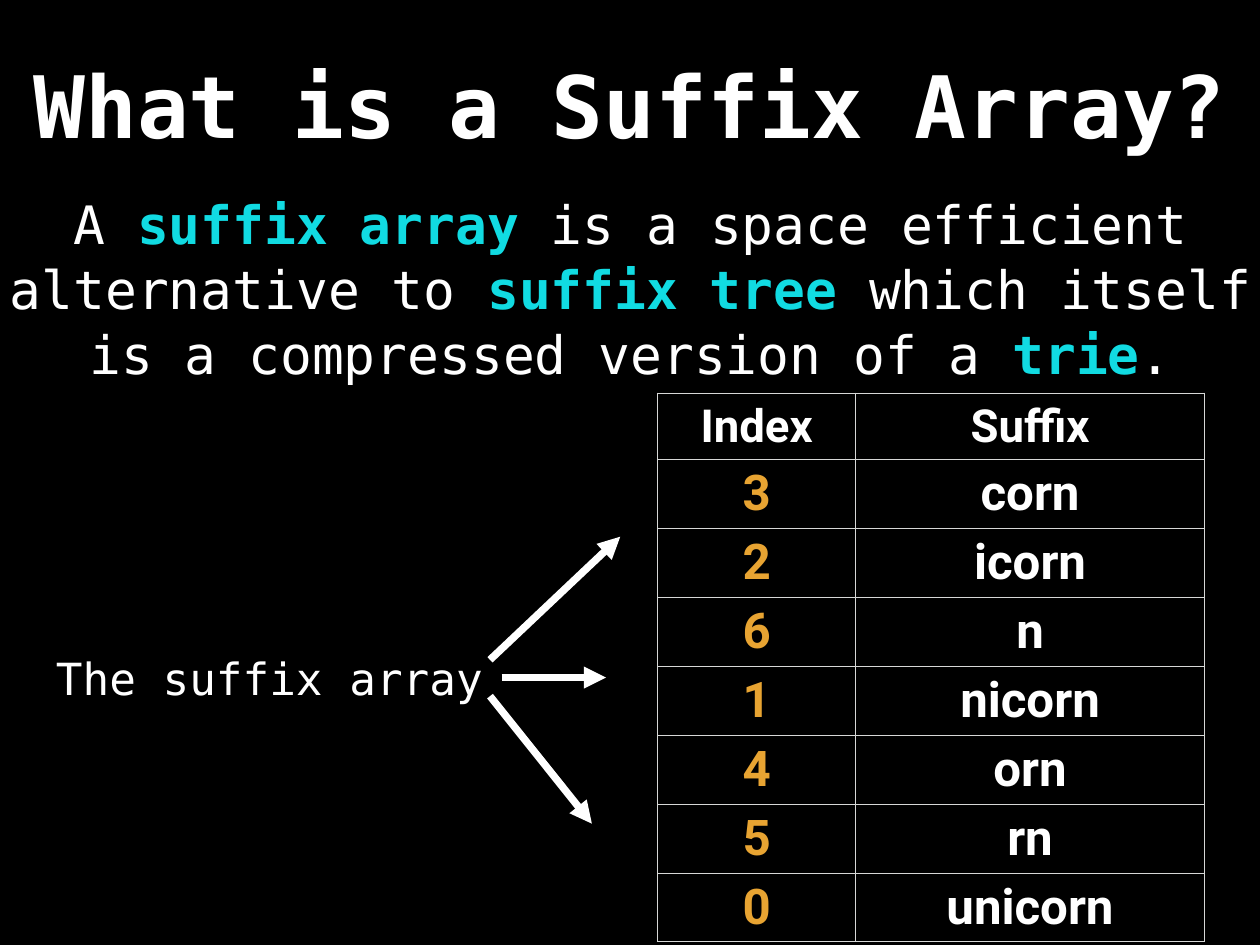
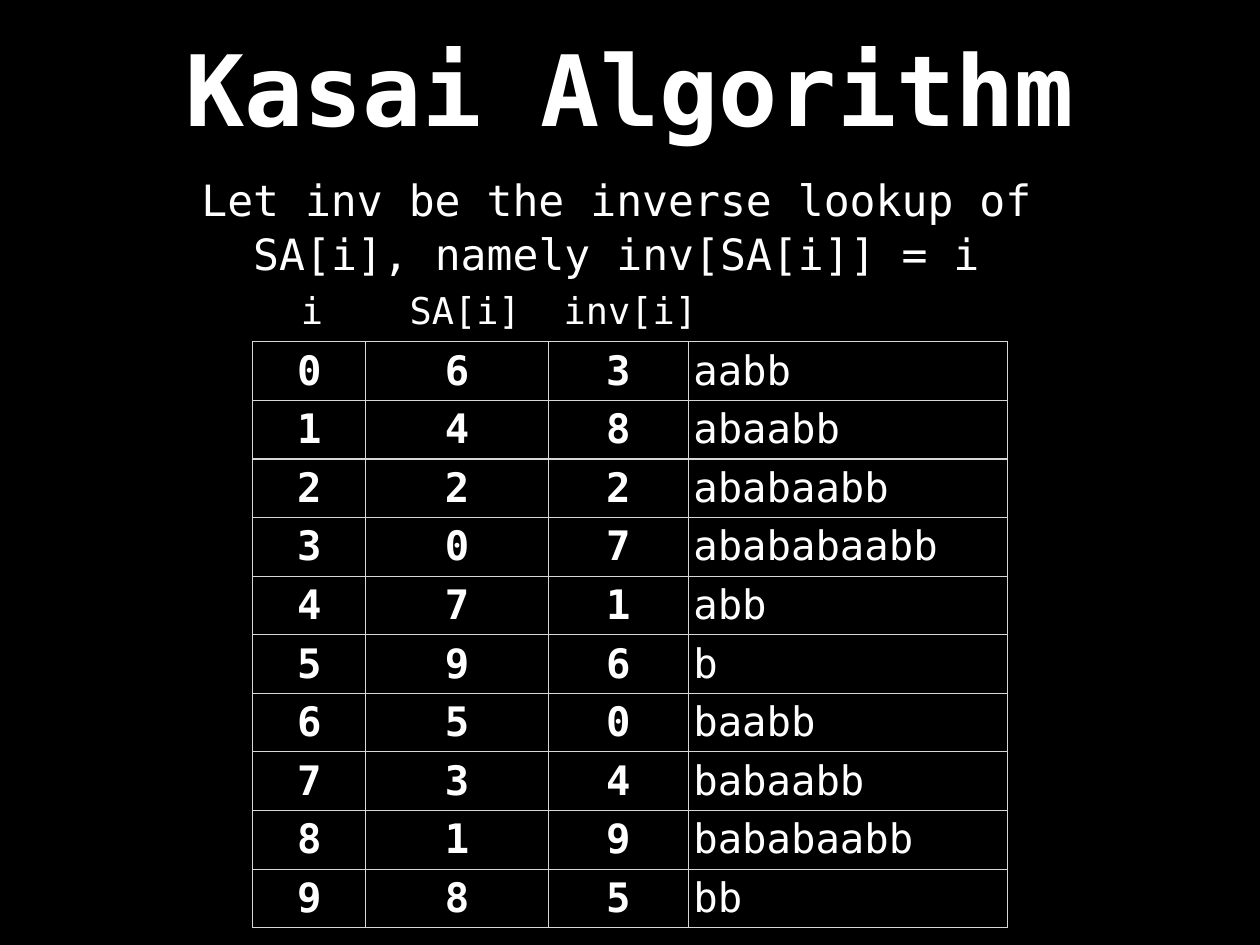
from lxml import etree
from pptx import Presentation
from pptx.dml.color import RGBColor
from pptx.enum.shapes import MSO_CONNECTOR
from pptx.enum.text import MSO_ANCHOR, PP_ALIGN
from pptx.oxml.ns import qn
from pptx.util import Inches, Pt

BLACK = RGBColor(0x00, 0x00, 0x00)
WHITE = RGBColor(0xFF, 0xFF, 0xFF)
CYAN = RGBColor(0x11, 0xDB, 0xE2)
ORANGE = RGBColor(0xE8, 0xA4, 0x32)
BORDER_GRAY = RGBColor(0xD6, 0xD7, 0xD6)

MONO = "DejaVu Sans Mono"
SANS = "Roboto"
INSET = Pt(4)
BODY_SPACING = 1.03

CENTER, LEFT = PP_ALIGN.CENTER, PP_ALIGN.LEFT
MIDDLE = MSO_ANCHOR.MIDDLE
STRAIGHT = MSO_CONNECTOR.STRAIGHT


def style_font(font, size, color=WHITE, bold=False, name=MONO):
    font.name = name
    font.size = Pt(size)
    font.bold = bold
    font.color.rgb = color


def set_insets(target):
    target.margin_left = target.margin_right = INSET
    target.margin_top = target.margin_bottom = INSET


def add_slide(presentation, title, box, size):
    """Black slide with a bold centred title."""
    slide = presentation.slides.add_slide(presentation.slide_layouts[6])
    slide.background.fill.solid()
    slide.background.fill.fore_color.rgb = BLACK
    add_text(slide, box, [(title, WHITE, True)], size)
    return slide


def add_text(slide, box, pieces, size, wrap=True, spacing=None):
    """Centred text; each piece is (text, colour, bold)."""
    shape = slide.shapes.add_textbox(*map(Inches, box))
    frame = shape.text_frame
    frame.word_wrap = wrap
    frame.vertical_anchor = MIDDLE
    set_insets(frame)
    paragraph = frame.paragraphs[0]
    paragraph.alignment = CENTER
    if spacing:
        paragraph.line_spacing = spacing
    for text, color, bold in pieces:
        run = paragraph.add_run()
        run.text = text
        style_font(run.font, size, color, bold)


def add_label(slide, box, text, size):
    add_text(slide, box, [(text, WHITE, False)], size, wrap=False)


def add_arrow(slide, start, end):
    arrow = slide.shapes.add_connector(STRAIGHT, *map(Inches, start + end))
    arrow.line.color.rgb = WHITE
    arrow.line.width = Pt(6)
    line = arrow.line._get_or_add_ln()
    etree.SubElement(line, qn("a:tailEnd"), type="triangle")
    etree.SubElement(arrow._element.spPr, qn("a:effectLst"))


def add_borders(cell):
    properties = cell._tc.get_or_add_tcPr()
    for index, side in enumerate(("a:lnL", "a:lnR", "a:lnT", "a:lnB")):
        line = etree.Element(qn(side), w=str(Pt(1)))
        fill = etree.SubElement(line, qn("a:solidFill"))
        etree.SubElement(fill, qn("a:srgbClr"), val=str(BORDER_GRAY))
        properties.insert(index, line)


def add_grid(slide, left, top, widths, row_height, rows, style_cell):
    """Outlined table; style_cell(paragraph, row, column) formats the text."""
    frame = slide.shapes.add_table(
        len(rows), len(widths), Inches(left), Inches(top),
        Inches(sum(widths)), Inches(row_height * len(rows)))
    table = frame.table
    table.first_row = table.horz_banding = False
    for column, width in zip(table.columns, widths):
        column.width = Inches(width)
    for row_index, values in enumerate(rows):
        table.rows[row_index].height = Inches(row_height)
        for column_index, value in enumerate(values):
            cell = table.cell(row_index, column_index)
            cell.text_frame.text = str(value)
            cell.vertical_anchor = MIDDLE
            cell.fill.background()
            set_insets(cell)
            add_borders(cell)
            style_cell(cell.text_frame.paragraphs[0], row_index, column_index)


def suffix_array(word):
    """Start positions of the suffixes in alphabetical order."""
    return sorted(range(len(word)), key=lambda start: word[start:])


def style_suffix_cell(paragraph, row, column):
    paragraph.alignment = CENTER
    size = 40 if row else 37
    color = ORANGE if row and column == 0 else WHITE
    style_font(paragraph.runs[0].font, size, color, True, SANS)


def style_inverse_cell(paragraph, row, column):
    is_suffix = column == 3
    paragraph.alignment = LEFT if is_suffix else CENTER
    style_font(paragraph.runs[0].font, 33, bold=not is_suffix)


def build_suffix_array_slide(presentation):
    slide = add_slide(presentation, "What is a Suffix Array?",
                      (-0.44, -0.01, 15.09, 2.36), 70)

    # Definition
    definition = [
        ("A ", WHITE, False),
        ("suffix array", CYAN, True),
        (" is a space efficient alternative to ", WHITE, False),
        ("suffix tree", CYAN, True),
        (" which itself is a compressed version of a ", WHITE, False),
        ("trie", CYAN, True),
        (".", WHITE, False),
    ]
    add_text(slide, (-0.36, 1.52, 14.95, 3.45), definition, 43,
             spacing=BODY_SPACING)

    # Sorted suffixes
    word = "unicorn"
    rows = [("Index", "Suffix")]
    rows += [(start, word[start:]) for start in suffix_array(word)]
    add_grid(slide, 7.42, 4.44, (2.24, 3.93), 0.75, rows, style_suffix_cell)

    # Arrows from the label to the index column
    for start, end in (((5.53, 7.45), (7, 6.06)),
                       ((5.66, 7.65), (6.84, 7.65)),
                       ((5.53, 7.86), (6.68, 9.3))):
        add_arrow(slide, start, end)
    add_label(slide, (0.57, 7.31, 4.94, 0.68), "The suffix array", 36)


def build_kasai_slide(presentation):
    slide = add_slide(presentation, "Kasai Algorithm",
                      (1.04, -0.2, 12.14, 2.36), 80)

    # Suffix array, its inverse and the suffixes
    word = "abababaabb"
    order = suffix_array(word)
    rows = [(index, start, order.index(index), word[start:])
            for index, start in enumerate(order)]
    add_grid(slide, 2.85, 3.86, (1.28, 2.06, 1.58, 3.6), 0.66, rows,
             style_inverse_cell)

    # Column labels
    for text, left, width in (("i", 3.33, 0.38),
                              ("SA[i]", 4.56, 1.38),
                              ("inv[i]", 6.3, 1.63)):
        add_label(slide, (left, 3.2, width, 0.6), text, 30)

    # Explanation
    explanation = "Let inv be the inverse lookup of SA[i], namely inv[SA[i]] = i"
    add_text(slide, (1.74, 1.77, 10.44, 1.55), [(explanation, WHITE, False)],
             35, spacing=BODY_SPACING)


def main():
    presentation = Presentation()
    presentation.slide_width = Inches(14.22)
    presentation.slide_height = Inches(10.67)
    build_suffix_array_slide(presentation)
    build_kasai_slide(presentation)
    presentation.save("out.pptx")


if __name__ == "__main__":
    main()
